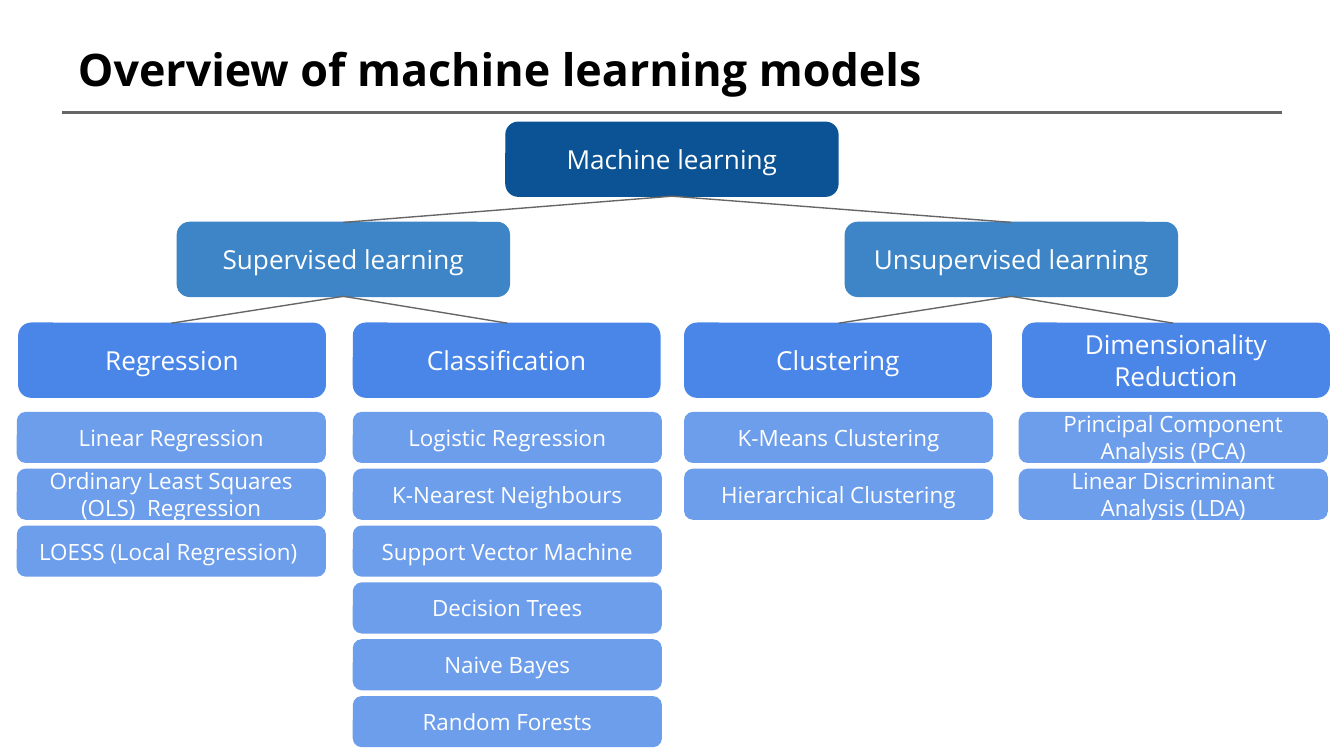
import dataclasses

import pptx
import pptx.dml.color
import pptx.enum.shapes
import pptx.enum.text
import pptx.oxml.ns
import pptx.slide
import pptx.util

FONT = "Open Sans"
RULE_COLOR = "666666"
SLIDE_WIDTH = pptx.util.Inches(10)
SLIDE_HEIGHT = pptx.util.Emu(SLIDE_WIDTH * 9 // 16)
GRID_COLUMNS = 100
ROOT_ROW, LEARNING_ROW, FAMILY_ROW, MODEL_ROW = 9.1, 16.55, 24.05, 30.7
MODEL_PITCH = 4.23


@dataclasses.dataclass(frozen=True)
class Level:
    color: str
    width: float
    height: float
    text_size: int


@dataclasses.dataclass(frozen=True)
class Family:
    name: str
    column: float
    models: tuple[str, ...]
    heading_shift: float = 0


@dataclasses.dataclass(frozen=True)
class Learning:
    name: str
    column: float
    families: tuple[Family, ...]


ROOT = Level("0B5394", 24.7, 5.5, 14)
LEARNING = Level("3D85C6", 24.7, 5.5, 14)
FAMILY = Level("4A86E8", 22.8, 5.5, 14)
MODEL = Level("6D9EEB", 22.9, 3.7, 12)

BRANCHES = (
    Learning("Supervised learning", 13.2, (
        Family("Regression", 1.3, (
            "Linear Regression",
            "Ordinary Least Squares (OLS)  Regression",
            "LOESS (Local Regression) ",
        ), 0.1),
        Family("Classification", 26.3, (
            "Logistic Regression",
            "K-Nearest Neighbours",
            "Support Vector Machine",
            "Decision Trees",
            "Naive Bayes",
            "Random Forests",
        )),
    )),
    Learning("Unsupervised learning", 62.9, (
        Family("Clustering", 50.95, (
            "K-Means Clustering",
            "Hierarchical Clustering",
        )),
        Family("Dimensionality Reduction", 75.85, (
            "Principal Component Analysis (PCA)",
            "Linear Discriminant Analysis (LDA)",
        ), 0.25),
    )),
)


def grid(cells: float) -> pptx.util.Emu:
    return pptx.util.Emu(round(SLIDE_WIDTH * cells / GRID_COLUMNS))


def rgb(color: str) -> pptx.dml.color.RGBColor:
    return pptx.dml.color.RGBColor.from_string(color)


def format_text(frame, size: float, color: str, align, anchor, inset: float, bold: bool = False) -> None:
    frame.word_wrap = True
    frame.auto_size = pptx.enum.text.MSO_AUTO_SIZE.NONE
    frame.vertical_anchor = anchor
    frame.margin_left = frame.margin_right = grid(inset)
    frame.margin_top = frame.margin_bottom = grid(inset)
    for paragraph in frame.paragraphs:
        paragraph.alignment = align
        for run in paragraph.runs:
            run.font.name = FONT
            run.font.size = pptx.util.Pt(size)
            run.font.bold = bold
            run.font.color.rgb = rgb(color)


def add_title(slide: pptx.slide.Slide, words: str) -> None:
    title = slide.shapes.title
    title.left, title.top, title.width, title.height = map(grid, (5, 2.3, 90, 5))
    title.text_frame.text = words
    format_text(title.text_frame, 24, "000000", pptx.enum.text.PP_ALIGN.LEFT,
                pptx.enum.text.MSO_ANCHOR.TOP, 0.8, True)


def add_box(slide: pptx.slide.Slide, words: str, column: float, row: float, level: Level) -> None:
    box = slide.shapes.add_shape(
        pptx.enum.shapes.MSO_SHAPE.ROUNDED_RECTANGLE,
        grid(column), grid(row), grid(level.width), grid(level.height))
    box.shadow.inherit = False
    box.fill.solid()
    box.fill.fore_color.rgb = rgb(level.color)
    box.line.color.rgb = rgb(level.color)
    box.line.width = pptx.util.Pt(0.75)
    box.text_frame.text = words
    format_text(box.text_frame, level.text_size, "FFFFFF", pptx.enum.text.PP_ALIGN.CENTER,
                pptx.enum.text.MSO_ANCHOR.MIDDLE, 1)


def add_line(slide: pptx.slide.Slide, start: tuple[float, float], end: tuple[float, float],
             weight: float = 0.75) -> None:
    line = slide.shapes.add_connector(
        pptx.enum.shapes.MSO_CONNECTOR.STRAIGHT, *map(grid, start + end))
    line.line.color.rgb = rgb(RULE_COLOR)
    line.line.width = pptx.util.Pt(weight)
    properties = line._element.spPr
    properties.append(properties.makeelement(pptx.oxml.ns.qn("a:effectLst"), {}))


def add_family(slide: pptx.slide.Slide, family: Family) -> None:
    add_box(slide, family.name, family.column + family.heading_shift, FAMILY_ROW, FAMILY)
    for index, model in enumerate(family.models):
        add_box(slide, model, family.column, MODEL_ROW + index * MODEL_PITCH, MODEL)


def add_tree(slide: pptx.slide.Slide) -> None:
    root_center = GRID_COLUMNS / 2
    add_box(slide, "Machine learning", root_center - ROOT.width / 2, ROOT_ROW, ROOT)
    for learning in BRANCHES:
        learning_center = learning.column + LEARNING.width / 2
        add_box(slide, learning.name, learning.column, LEARNING_ROW, LEARNING)
        add_line(slide, (root_center, ROOT_ROW + ROOT.height), (learning_center, LEARNING_ROW))
        for family in learning.families:
            add_family(slide, family)
            add_line(slide, (learning_center, LEARNING_ROW + LEARNING.height),
                     (family.column + MODEL.width / 2, FAMILY_ROW))


def main() -> None:
    presentation = pptx.Presentation()
    presentation.slide_width = SLIDE_WIDTH
    presentation.slide_height = SLIDE_HEIGHT
    slide = presentation.slides.add_slide(presentation.slide_layouts.get_by_name("Title Only"))
    add_line(slide, (4.6, 8.4), (95.4, 8.4), 1.5)
    add_title(slide, "Overview of machine learning models")
    add_tree(slide)
    presentation.save("out.pptx")


if __name__ == "__main__":
    main()
